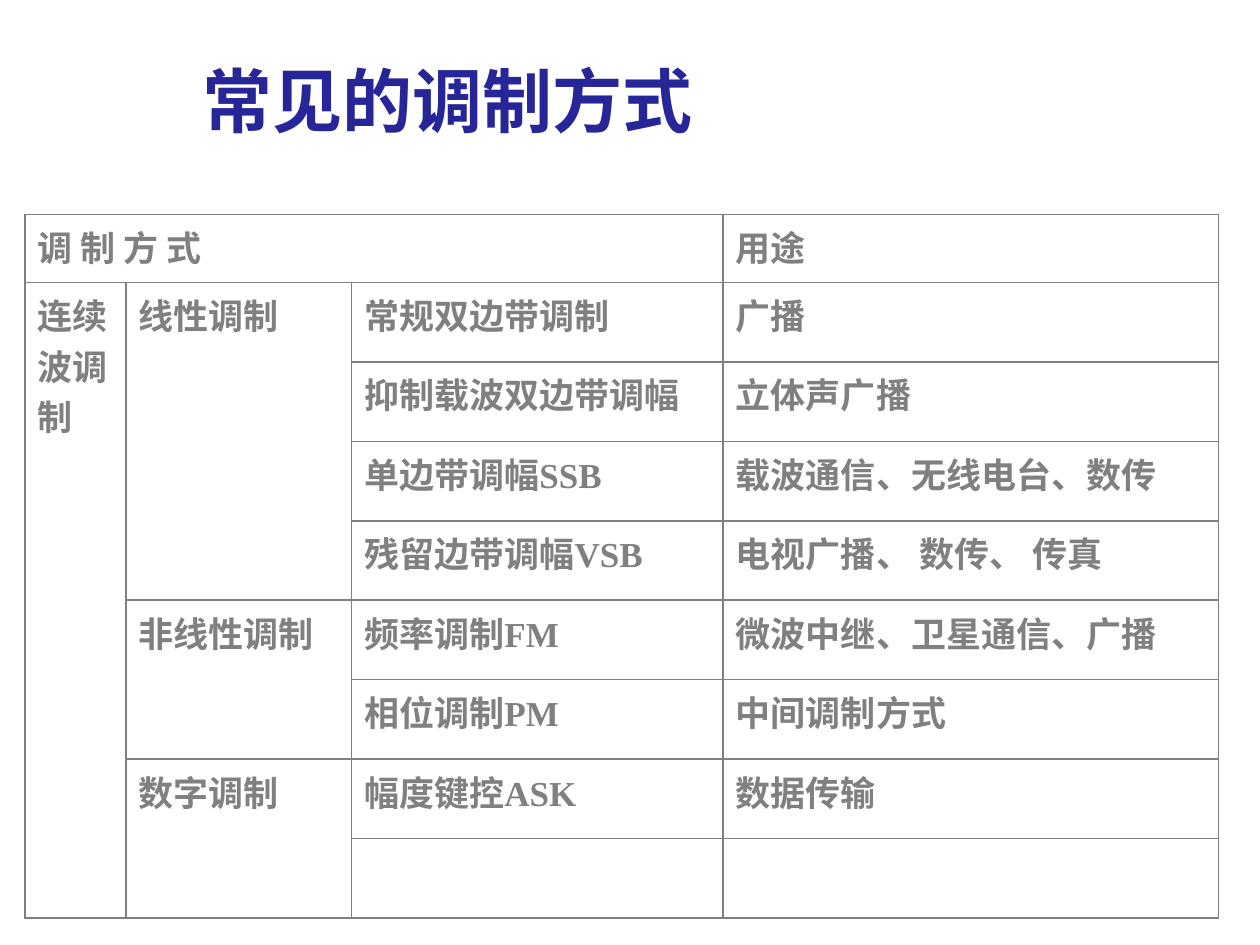
import dataclasses

import lxml.etree
import pptx
import pptx.dml.color
import pptx.enum.text
import pptx.oxml.ns
import pptx.util


@dataclasses.dataclass(frozen=True)
class Theme:
    font: str = "Times New Roman"
    title_color: str = "262699"
    table_color: str = "808080"
    title_size: int = 40
    table_size: int = 20
    space_before: int = 4
    border: int = 1


THEME = Theme()
TITLE_BOX = (0.147, 0.05, 0.416, 0.11)
TABLE_BOX = (0.02, 0.2267, 0.947, 0.745)
COLUMN_WEIGHTS = (0.8, 1.79, 2.95, 3.93)
ROW_WEIGHTS = (0.54,) + (0.63,) * 8
ROWS = (
    ("调 制 方 式", "", "", "用途"),
    ("连续波调制", "线性调制", "常规双边带调制", "广播"),
    ("", "", "抑制载波双边带调幅", "立体声广播"),
    ("", "", "单边带调幅SSB", "载波通信、无线电台、数传"),
    ("", "", "残留边带调幅VSB", "电视广播、 数传、 传真"),
    ("", "非线性调制", "频率调制FM", "微波中继、卫星通信、广播"),
    ("", "", "相位调制PM", "中间调制方式"),
    ("", "数字调制", "幅度键控ASK", "数据传输"),
    ("", "", "", ""),
)
MERGES = (
    ((0, 0), (0, 2)),
    ((1, 0), (8, 0)),
    ((1, 1), (4, 1)),
    ((5, 1), (6, 1)),
    ((7, 1), (8, 1)),
)


def to_emu(prs, box):
    sides = (prs.slide_width, prs.slide_height) * 2
    return [round(share * side) for share, side in zip(box, sides)]


def style(p, size, color):
    p.font.name = THEME.font
    p.font.size = pptx.util.Pt(size)
    p.font.bold = True
    p.font.color.rgb = pptx.dml.color.RGBColor.from_string(color)


def set_borders(cell):
    tc_pr = cell._tc.get_or_add_tcPr()
    qn = pptx.oxml.ns.qn
    for i, side in enumerate(("lnL", "lnR", "lnT", "lnB")):
        ln = lxml.etree.Element(qn(f"a:{side}"), w=str(pptx.util.Pt(THEME.border)))
        fill = lxml.etree.SubElement(ln, qn("a:solidFill"))
        lxml.etree.SubElement(fill, qn("a:srgbClr"), val=THEME.table_color)
        tc_pr.insert(i, ln)


def add_title(s, box, text):
    sp = s.shapes.title
    sp.left, sp.top, sp.width, sp.height = box
    tf = sp.text_frame
    tf.text = text
    tf.auto_size = pptx.enum.text.MSO_AUTO_SIZE.NONE
    tf.vertical_anchor = pptx.enum.text.MSO_ANCHOR.MIDDLE
    p = tf.paragraphs[0]
    p.alignment = pptx.enum.text.PP_ALIGN.CENTER
    style(p, THEME.title_size, THEME.title_color)


def add_modulation_table(s, box):
    left, top, width, height = box
    frame = s.shapes.add_table(len(ROWS), len(COLUMN_WEIGHTS), left, top, width, height)
    table = frame.table
    table.first_row = False
    table.horz_banding = False
    for column, weight in zip(table.columns, COLUMN_WEIGHTS):
        column.width = round(width * weight / sum(COLUMN_WEIGHTS))
    for row, weight in zip(table.rows, ROW_WEIGHTS):
        row.height = round(height * weight / sum(ROW_WEIGHTS))
    for row, texts in zip(table.rows, ROWS):
        for cell, text in zip(row.cells, texts):
            cell.fill.background()
            set_borders(cell)
            if text:
                cell.text = text
                p = cell.text_frame.paragraphs[0]
                p.space_before = pptx.util.Pt(THEME.space_before)
                style(p, THEME.table_size, THEME.table_color)
    for first, last in MERGES:
        table.cell(*first).merge(table.cell(*last))


def main():
    prs = pptx.Presentation()
    prs.slide_width = pptx.util.Inches(10)
    prs.slide_height = pptx.util.Inches(7.5)
    s = prs.slides.add_slide(prs.slide_layouts.get_by_name("Title Only"))
    add_title(s, to_emu(prs, TITLE_BOX), "常见的调制方式")
    add_modulation_table(s, to_emu(prs, TABLE_BOX))
    prs.save("out.pptx")


if __name__ == "__main__":
    main()
